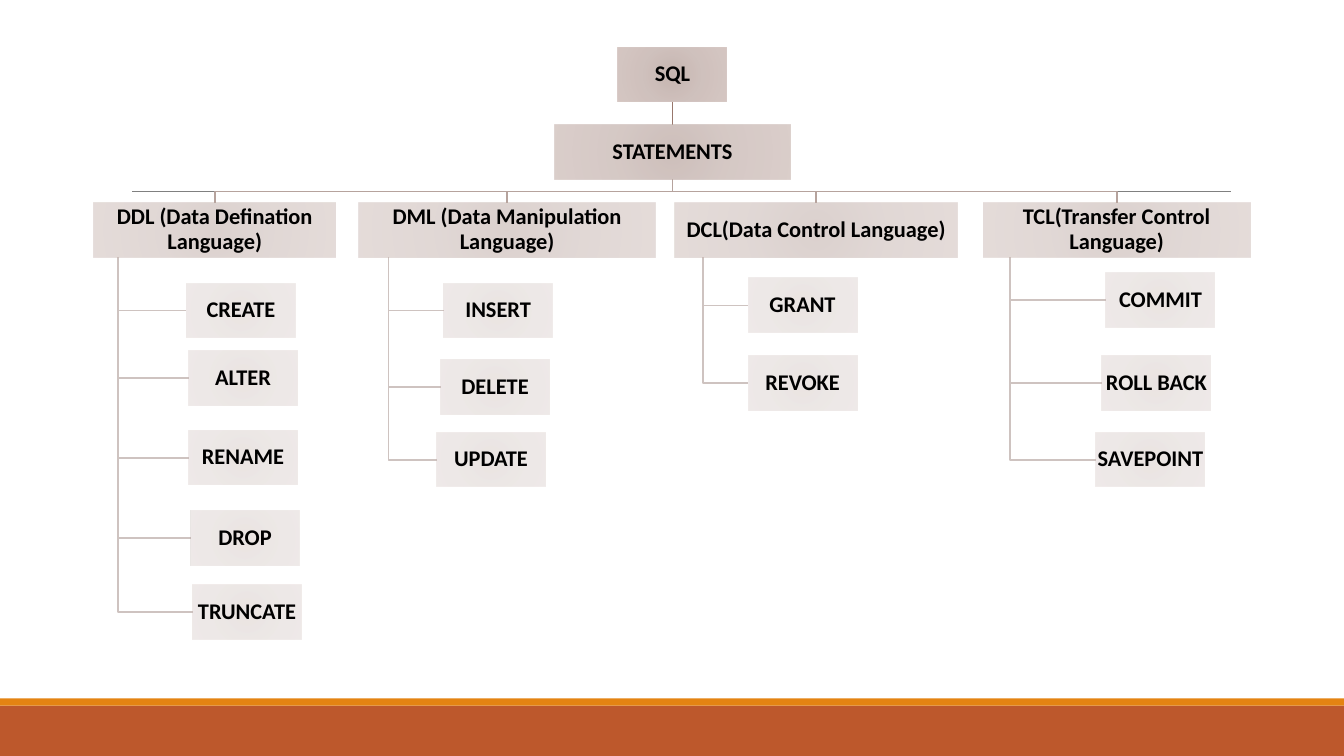
from lxml import etree
from pptx import Presentation, util as u
from pptx.dml.color import RGBColor
from pptx.enum import shapes as sh, text as tx
from pptx.oxml import ns, parse_xml

CELL = u.Inches(0.01)  # the slide is a grid of 1333 columns by 750 rows
COLS, ROWS = 1333, 750
HIGH, STEP, TOP = 54, 77, 47  # box height, level pitch, first level
WIDE = 108  # width of a small box
MID = 667  # axis of the tree
BUS = 190  # row of the line that feeds the branches
STOPS = (0, "B9A49E"), (45, "C4B2AD"), (100, "CCBAB5")

# left, width, heading, then (left, top, label) of each leaf
BRANCHES = [
    (93, 240, "DDL (Data Defination Language)",
     [(185, 281, "CREATE"), (187, 348, "ALTER"), (187, 427, "RENAME"),
      (189, 507, "DROP"), (191, 580, "TRUNCATE")]),
    (356, 294, "DML (Data Manipulation Language)",
     [(440, 281, "INSERT"), (437, 357, "DELETE"), (433, 429, "UPDATE")]),
    (669, 281, "DCL(Data Control Language)",
     [(742, 276, "GRANT"), (742, 353, "REVOKE")]),
    (975, 265, "TCL(Transfer Control Language)",
     [(1097, 271, "COMMIT"), (1093, 353, "ROLL BACK"), (1087, 429, "SAVEPOINT")]),
]


def rgb(code):
    return RGBColor.from_string(code)


def flat(shape):
    """Drop the theme shadow of a shape or connector."""
    etree.SubElement(shape.element.spPr, ns.qn("a:effectLst"))


deck = Presentation()
deck.slide_width, deck.slide_height = COLS * CELL, ROWS * CELL
slide = deck.slides.add_slide(deck.slide_layouts[6])
art = slide.shapes

# Footer bands
for top, high, color in [(700, 50, "BD582C"), (693, 7, "E48312")]:
    band = art.add_shape(sh.MSO_SHAPE.RECTANGLE, 0, top * CELL, COLS * CELL, high * CELL)
    band.fill.solid()
    band.fill.fore_color.rgb = rgb(color)
    band.line.fill.background()
    band.shadow.inherit = False

# Collect boxes (left, top, width, opacity, label) and elbow paths
head = TOP + 2 * STEP
boxes = [(613, TOP, WIDE, 80, "SQL"), (550, TOP + STEP, 234, 70, "STATEMENTS")]
elbows = []
for left, wide, name, leaves in BRANCHES:
    hub, trunk = left + wide / 2, left + wide / 10
    elbows.append(("B6A39D", [(MID, TOP + STEP + HIGH), (MID, BUS), (hub, BUS), (hub, head)]))
    boxes.append((left, head, wide, 50, name))
    for x, y, label in leaves:
        mid = y + HIGH / 2
        elbows.append(("CEC3C0", [(trunk, head + HIGH), (trunk, mid), (x, mid)]))
        boxes.append((x, y, WIDE, 30, label))

# Straight lines: the rule across the slide and the stem under the root
for x1, y1, x2, y2, color, size in [
    (131, BUS, 1221, BUS, "808080", 0.5),
    (MID, TOP + HIGH, MID, TOP + STEP, "98776C", 1.25),
]:
    rule = art.add_connector(sh.MSO_CONNECTOR.STRAIGHT,
                             x1 * CELL, y1 * CELL, x2 * CELL, y2 * CELL)
    rule.line.color.rgb = rgb(color)
    rule.line.width = u.Pt(size)
    flat(rule)

for color, points in elbows:
    spots = [(x * CELL, y * CELL) for x, y in points]
    pen = art.build_freeform(*spots[0])
    pen.add_line_segments(spots[1:], close=False)
    elbow = pen.convert_to_shape()
    elbow.fill.background()
    elbow.line.color.rgb = rgb(color)
    elbow.line.width = u.Pt(1.25)
    flat(elbow)

for left, top, wide, alpha, label in boxes:
    box = art.add_shape(sh.MSO_SHAPE.RECTANGLE,
                        left * CELL, top * CELL, wide * CELL, HIGH * CELL)
    box.line.fill.background()
    box.shadow.inherit = False
    box.fill.background()
    stops = "".join(
        f'<a:gs pos="{pos * 1000}"><a:srgbClr val="{color}">'
        f'<a:alpha val="{alpha * 1000}"/></a:srgbClr></a:gs>'
        for pos, color in STOPS)
    props = box.element.spPr
    props.replace(props.find(ns.qn("a:noFill")), parse_xml(
        f'<a:gradFill {ns.nsdecls("a")}><a:gsLst>{stops}</a:gsLst><a:path path="circle">'
        '<a:fillToRect l="100000" t="100000" r="100000" b="100000"/></a:path></a:gradFill>'))

    frame = box.text_frame
    frame.word_wrap = True
    frame.vertical_anchor = tx.MSO_ANCHOR.MIDDLE
    frame.margin_left = frame.margin_right = frame.margin_top = frame.margin_bottom = CELL
    para = frame.paragraphs[0]
    para.alignment = tx.PP_ALIGN.CENTER
    para.line_spacing = 0.9
    run = para.add_run()
    run.text = label
    run.font.name, run.font.size, run.font.bold = "Calibri", u.Pt(16), True
    run.font.color.rgb = rgb("000000")

deck.save("out.pptx")
